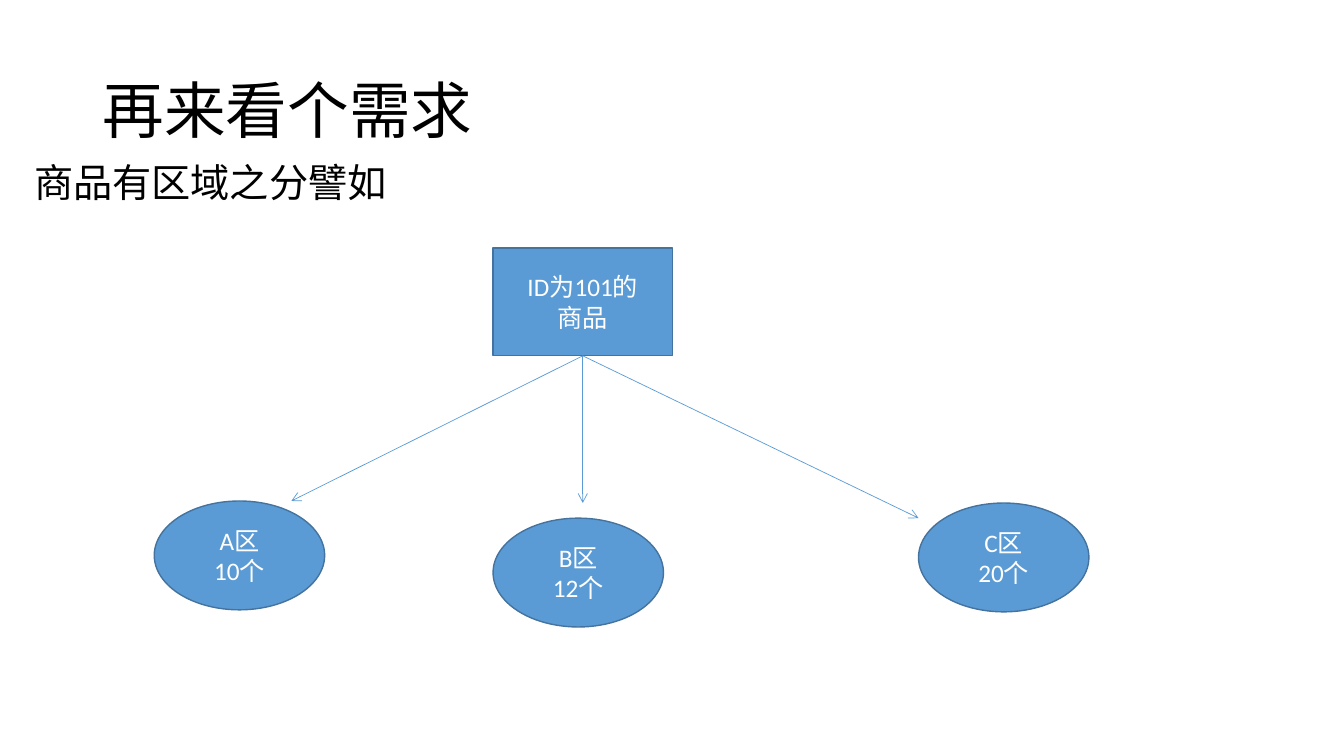
from dataclasses import dataclass

from lxml.etree import SubElement
from pptx import Presentation
from pptx.dml.color import RGBColor
from pptx.enum.shapes import MSO_CONNECTOR as CONN, MSO_SHAPE as SHAPE
from pptx.enum.text import MSO_ANCHOR as ANCHOR, PP_ALIGN as ALIGN
from pptx.oxml.ns import qn
from pptx.util import Inches, Pt


@dataclass(frozen=True)
class Theme:
    font: str = "Calibri"
    ink: RGBColor = RGBColor(0x00, 0x00, 0x00)
    white: RGBColor = RGBColor(0xFF, 0xFF, 0xFF)
    fill: RGBColor = RGBColor(0x5B, 0x9B, 0xD5)
    outline: RGBColor = RGBColor(0x43, 0x73, 0x9E)
    title_size: int = 44
    body_size: int = 28
    node_size: int = 18


@dataclass(frozen=True)
class Node:
    lines: tuple[str, ...]
    left: float
    top: float
    width: float
    height: float
    kind: SHAPE


@dataclass(frozen=True)
class Region:
    node: Node
    arrow_tip: tuple[float, float]


THEME = Theme()


def region(name: str, stock: int, left: float, top: float,
           arrow_tip: tuple[float, float]) -> Region:
    lines = (f"{name}区", f"{stock}个")
    return Region(Node(lines, left, top, 1.69, 1.08, SHAPE.OVAL), arrow_tip)


PRODUCT = Node(("ID为101的", "商品"), 4.89, 2.46, 1.78, 1.07, SHAPE.RECTANGLE)
REGIONS = (
    region("A", 10, 1.53, 4.97, (2.89, 4.97)),
    region("B", 12, 4.89, 5.14, (5.78, 4.99)),
    region("C", 20, 9.11, 4.99, (9.11, 5.14)),
)


def write_text(sp, lines: tuple[str, ...], *, size: int, color: RGBColor,
               align=ALIGN.LEFT, anchor=ANCHOR.MIDDLE,
               spacing: float = 1.0, before: float = 0) -> None:
    tf = sp.text_frame
    tf.word_wrap = True
    tf.vertical_anchor = anchor
    for i, line in enumerate(lines):
        p = tf.add_paragraph() if i else tf.paragraphs[0]
        p.alignment = align
        p.line_spacing = spacing
        p.space_before = Pt(before)
        r = p.add_run()
        r.text = line
        r.font.name = THEME.font
        r.font.size = Pt(size)
        r.font.color.rgb = color


def add_text_box(slide, box: tuple[float, ...], text: str, **fmt) -> None:
    sp = slide.shapes.add_textbox(*map(Inches, box))
    write_text(sp, (text,), color=THEME.ink, spacing=0.9, **fmt)


def add_node(slide, node: Node):
    box = map(Inches, (node.left, node.top, node.width, node.height))
    sp = slide.shapes.add_shape(node.kind, *box)
    sp.shadow.inherit = False
    sp.fill.solid()
    sp.fill.fore_color.rgb = THEME.fill
    sp.line.color.rgb = THEME.outline
    sp.line.width = Pt(1)
    write_text(sp, node.lines, size=THEME.node_size, color=THEME.white,
               align=ALIGN.CENTER)
    return sp


def add_arrow(slide, source, tip: tuple[float, float]) -> None:
    x, y = map(Inches, tip)
    line = slide.shapes.add_connector(CONN.STRAIGHT, x, y, x, y)
    line.begin_connect(source, 2)
    line.line.color.rgb = THEME.fill
    line.line.width = Pt(0.5)
    SubElement(line.line._get_or_add_ln(), qn("a:tailEnd"), type="arrow")
    SubElement(line._element.spPr, qn("a:effectLst"))


def main() -> None:
    prs = Presentation()
    prs.slide_width, prs.slide_height = Inches(13.33), Inches(7.5)
    slide = prs.slides.add_slide(prs.slide_layouts[6])

    # Heading and introduction
    add_text_box(slide, (0.92, 0.4, 11.5, 1.45), "再来看个需求",
                 size=THEME.title_size)
    add_text_box(slide, (0.24, 1.57, 12.17, 5.19), "商品有区域之分譬如",
                 size=THEME.body_size, anchor=ANCHOR.TOP, before=10)

    # Product and its stock by region
    product = add_node(slide, PRODUCT)
    for item in REGIONS:
        add_node(slide, item.node)
    for item in REGIONS:
        add_arrow(slide, product, item.arrow_tip)

    prs.save("out.pptx")


if __name__ == "__main__":
    main()
